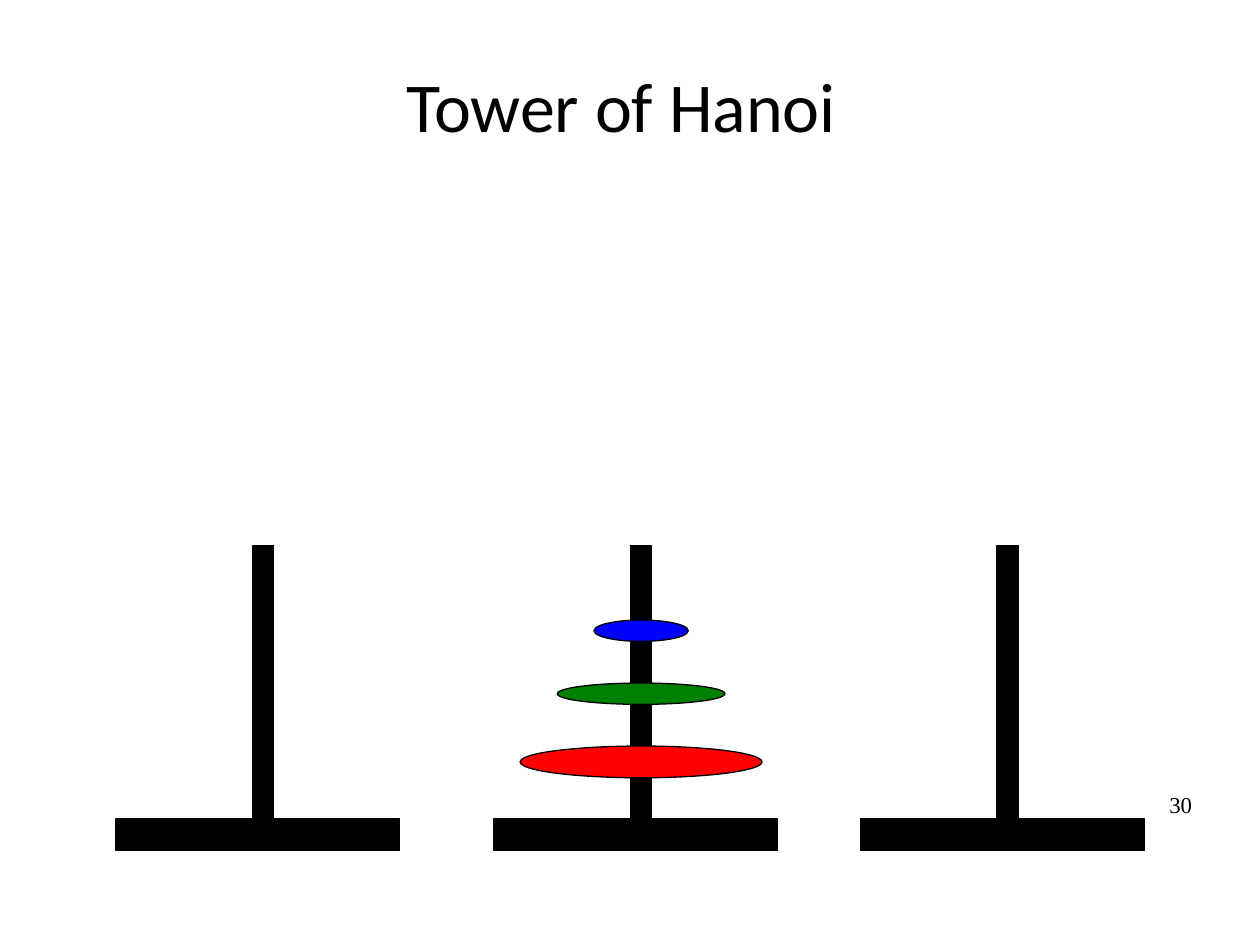
from pptx import Presentation
from pptx.dml.color import RGBColor
from pptx.enum.shapes import MSO_SHAPE as Shape
from pptx.enum.text import MSO_ANCHOR as Anchor, PP_ALIGN as Align
from pptx.util import Cm, Pt

COLORS = {"black": "000000", "red": "FF0000", "green": "008000", "blue": "0000FF"}

BASE_TOP, BASE_WIDTH, BASE_HEIGHT = 16.51, 5.72, 0.64
POLE_OFFSET, POLE_WIDTH, POLE_HEIGHT = 2.75, 0.43, 5.51
TOWER_LEFTS = [2.34, 9.96, 17.35]
DISC_TOP, DISC_STEP = 15.04, 1.27
DISCS = [("red", 4.88, 0.64), ("green", 3.38, 0.43), ("blue", 1.9, 0.43)]


def color(name):
    return RGBColor.from_string(COLORS[name])


def write_text(frame, text, *, font, size, align, anchor, line_spacing):
    frame.word_wrap = True
    frame.vertical_anchor = anchor
    paragraph = frame.paragraphs[0]
    paragraph.alignment = align
    paragraph.line_spacing = line_spacing
    run = paragraph.add_run()
    run.text = text
    run.font.name = font
    run.font.size = Pt(size)
    run.font.color.rgb = color("black")


class HanoiSlide:
    title_font = "Calibri"
    number_font = "Times New Roman"
    line_width = Pt(0.75)

    def __init__(self, presentation):
        self.slide = presentation.slides.add_slide(presentation.slide_layouts[5])

    def title(self, text, left, top, width, height):
        title = self.slide.shapes.title
        title.left, title.top = Cm(left), Cm(top)
        title.width, title.height = Cm(width), Cm(height)
        write_text(title.text_frame, text, font=self.title_font, size=40,
                   align=Align.CENTER, anchor=Anchor.MIDDLE, line_spacing=0.97)

    def page_number(self, text, left, top, width, height):
        box = self.slide.shapes.add_textbox(Cm(left), Cm(top), Cm(width), Cm(height))
        write_text(box.text_frame, text, font=self.number_font, size=13,
                   align=Align.RIGHT, anchor=Anchor.TOP, line_spacing=0.78)

    def solid(self, shapes, kind, fill, left, top, width, height):
        """Add a filled shape with a thin black outline to a slide or group."""
        shape = shapes.add_shape(kind, Cm(left), Cm(top), Cm(width), Cm(height))
        shape.shadow.inherit = False
        shape.fill.solid()
        shape.fill.fore_color.rgb = color(fill)
        shape.line.color.rgb = color("black")
        shape.line.width = self.line_width

    def tower(self, left):
        shapes = self.slide.shapes.add_group_shape().shapes
        self.solid(shapes, Shape.RECTANGLE, "black",
                   left, BASE_TOP, BASE_WIDTH, BASE_HEIGHT)
        self.solid(shapes, Shape.RECTANGLE, "black", left + POLE_OFFSET,
                   BASE_TOP - POLE_HEIGHT, POLE_WIDTH, POLE_HEIGHT)

    def discs(self, tower_left):
        """Stack the discs from the largest up, centred on the tower's pole."""
        center = tower_left + POLE_OFFSET + POLE_WIDTH / 2
        for level, (fill, width, height) in enumerate(DISCS):
            self.solid(self.slide.shapes, Shape.OVAL, fill, center - width / 2,
                       DISC_TOP - level * DISC_STEP, width, height)


def main():
    presentation = Presentation()
    presentation.slide_width, presentation.slide_height = Cm(25.4), Cm(19.05)
    hanoi = HanoiSlide(presentation)
    hanoi.title("Tower of Hanoi", 1.27, 0.76, 22.5, 2.84)
    for left in TOWER_LEFTS:
        hanoi.tower(left)
    hanoi.discs(TOWER_LEFTS[1])
    hanoi.page_number("30", 22.58, 15.93, 1.7, 1.45)
    presentation.save("out.pptx")


if __name__ == "__main__":
    main()
